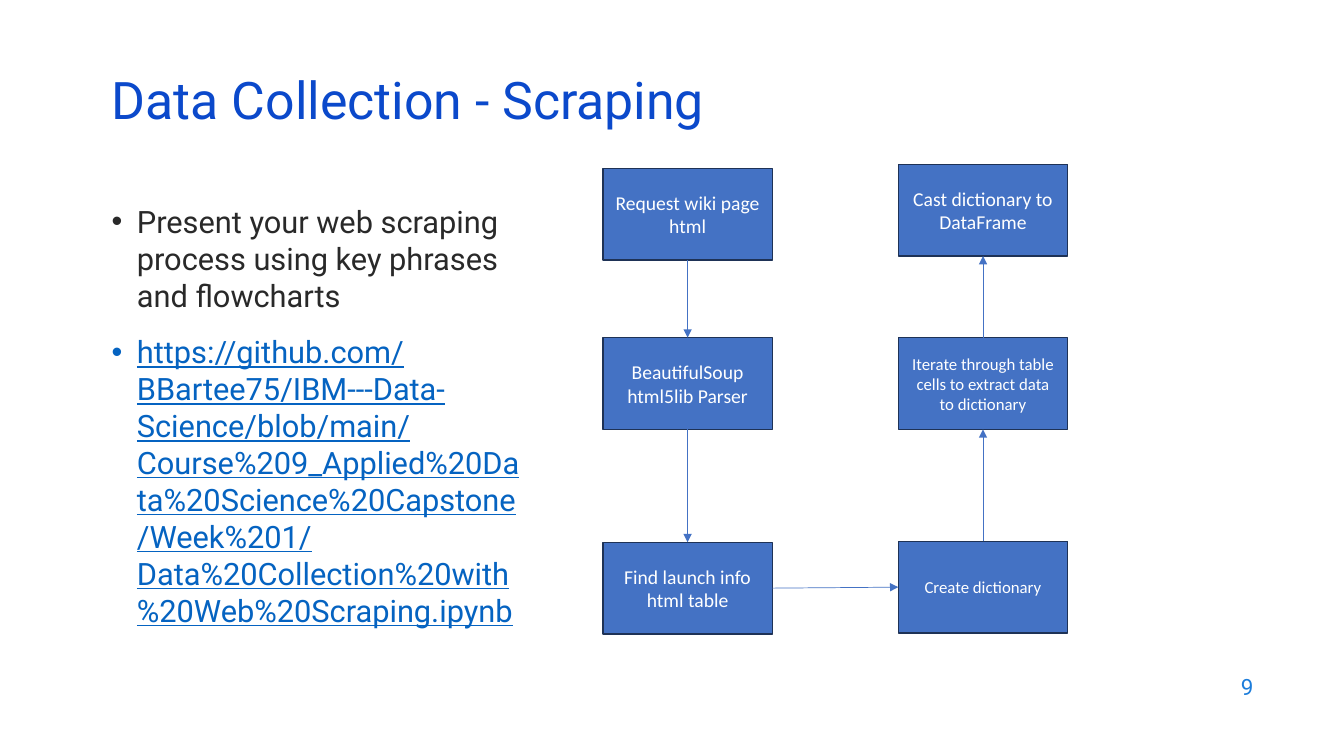
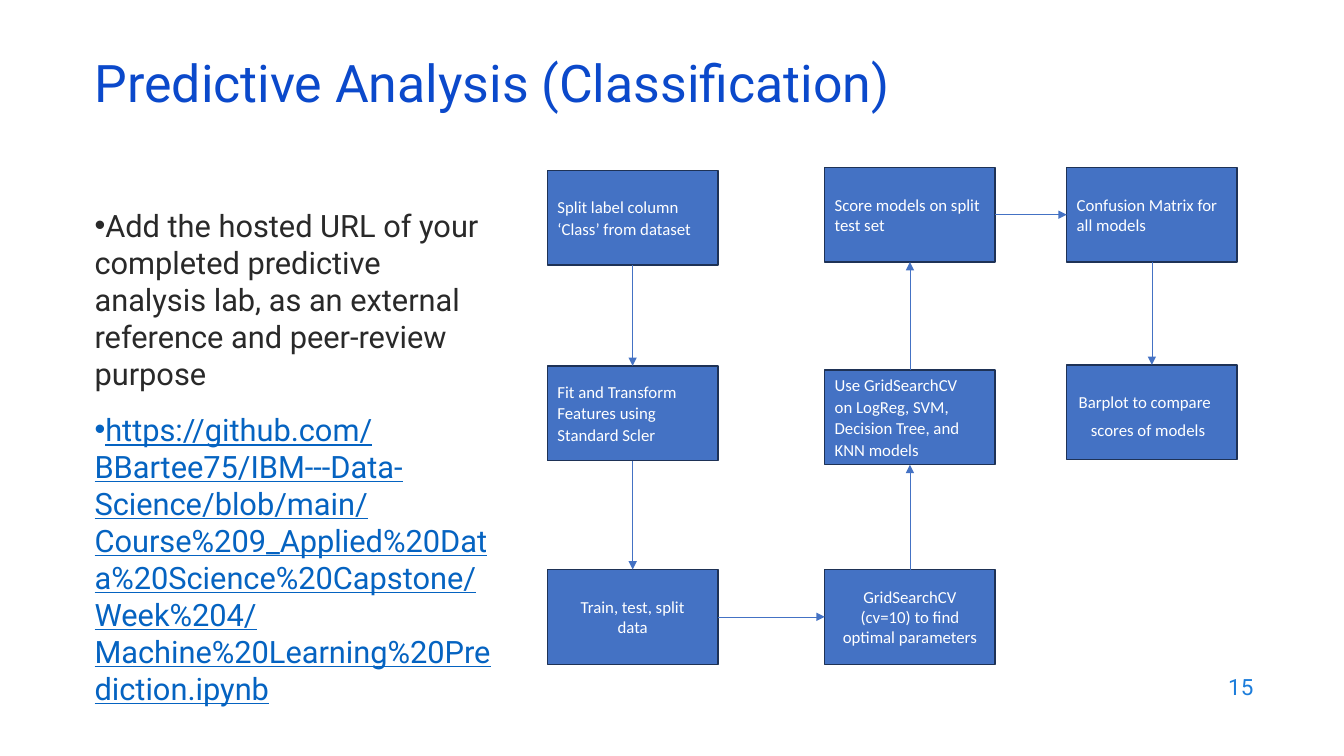
from pptx import Presentation
from pptx.dml.color import RGBColor
from pptx.enum.shapes import MSO_CONNECTOR, MSO_SHAPE
from pptx.enum.text import MSO_ANCHOR, MSO_AUTO_SIZE, PP_ALIGN
from pptx.oxml.ns import qn
from pptx.util import Inches, Pt
from lxml import etree

STRAIGHT = MSO_CONNECTOR.STRAIGHT
PROCESS = MSO_SHAPE.FLOWCHART_PROCESS
MIDDLE = MSO_ANCHOR.MIDDLE
LEFT, CENTER, RIGHT = PP_ALIGN.LEFT, PP_ALIGN.CENTER, PP_ALIGN.RIGHT
TOP_SIDE, LEFT_SIDE, BOTTOM_SIDE, RIGHT_SIDE = range(4)

# Shared style
HEAD_FONT, BOX_FONT = "Roboto", "Calibri"
TITLE, NUMBER, BODY, LINK = "0B49CB", "1C7DDB", "292929", "0563C1"
FILL, EDGE, WHITE = "4472C4", "1E3256", "FFFFFF"
REPO = ("https://github.com/BBartee75/IBM---Data-Science/blob/main/"
        "Course%209_Applied%20Data%20Science%20Capstone/")


def color(code):
    return RGBColor.from_string(code)


def style(para, font, size, code, align=LEFT):
    para.alignment = align
    para.font.name = font
    para.font.size = Pt(size)
    para.font.color.rgb = color(code)


def place(shape, left, top, width, height):
    shape.left, shape.top = Inches(left), Inches(top)
    shape.width, shape.height = Inches(width), Inches(height)


def add_base(deck, title, left, top, number):
    """Add a slide with its title and page number."""
    slide = deck.slides.add_slide(deck.slide_layouts[5])
    head = slide.shapes.title
    place(head, left, top, 11.5, 0.6)
    frame = head.text_frame
    frame.text = title
    frame.auto_size = MSO_AUTO_SIZE.NONE
    frame.vertical_anchor = MIDDLE
    para = frame.paragraphs[0]
    para.line_spacing = 0.7
    style(para, HEAD_FONT, 37, TITLE)

    page = slide.shapes.add_textbox(Inches(9.53), Inches(6.59), Inches(3), Inches(0.44))
    page.text_frame.text = str(number)
    page.text_frame.vertical_anchor = MIDDLE
    style(page.text_frame.paragraphs[0], HEAD_FONT, 16, NUMBER, RIGHT)
    return slide


def add_bullet(para, code, hang):
    props = para._p.get_or_add_pPr()
    props.set("marL", str(Inches(hang)))
    props.set("indent", str(-Inches(hang)))
    tint = etree.SubElement(props, qn("a:buClr"))
    etree.SubElement(tint, qn("a:srgbClr"), val=code)
    etree.SubElement(props, qn("a:buFont"), typeface="Arial")
    etree.SubElement(props, qn("a:buChar"), char="•")


def add_body(slide, area, text, link, hang):
    """Add a bulleted task and a bulleted web address."""
    box = slide.shapes.add_textbox(*map(Inches, area))
    frame = box.text_frame
    frame.word_wrap = True
    frame.text = f"{text}\n{link}"
    task, web = frame.paragraphs
    for para, code in ((task, BODY), (web, LINK)):
        add_bullet(para, code, hang)
        style(para, HEAD_FONT, 22, code)
    web.space_before = Pt(14)
    web.font.underline = True


def add_box(slide, text, left, top, size, points, align):
    box = slide.shapes.add_shape(PROCESS, Inches(left), Inches(top), *map(Inches, size))
    box.shadow.inherit = False
    box.fill.solid()
    box.fill.fore_color.rgb = color(FILL)
    box.line.color.rgb = color(EDGE)
    box.line.width = Pt(1)
    frame = box.text_frame
    frame.word_wrap = True
    frame.vertical_anchor = MIDDLE
    frame.text = text
    for i, para in enumerate(frame.paragraphs):
        style(para, BOX_FONT, points, WHITE, align)
        if i and align == LEFT:
            para.space_before = Pt(1.1)
    return box


def add_arrow(slide, start, end):
    """Join two boxes, up or down in a column and rightwards between columns."""
    if abs(end.left - start.left) > Inches(0.5):
        sides = RIGHT_SIDE, LEFT_SIDE
    elif end.top > start.top:
        sides = BOTTOM_SIDE, TOP_SIDE
    else:
        sides = TOP_SIDE, BOTTOM_SIDE
    arrow = slide.shapes.add_connector(STRAIGHT, 0, 0, 0, 0)
    arrow.begin_connect(start, sides[0])
    arrow.end_connect(end, sides[1])
    arrow.line.color.rgb = color(FILL)
    arrow.line.width = Pt(0.5)
    props = arrow._element.spPr
    etree.SubElement(props.find(qn("a:ln")), qn("a:tailEnd"), type="triangle")
    etree.SubElement(props, qn("a:effectLst"))


def add_flow(slide, steps, size):
    """Add the boxes in order and an arrow from each to the next."""
    boxes = [add_box(slide, text, left, top, size, points, align)
             for text, left, top, points, align in steps]
    for start, end in zip(boxes, boxes[1:]):
        add_arrow(slide, start, end)
    return boxes


def add_scraping(deck):
    slide = add_base(deck, "Data Collection - Scraping", 1.01, 0.76, 9)
    add_body(slide, (1.01, 1.96, 4.3, 4.95),
             "Present your web scraping process using key phrases and flowcharts",
             REPO + "Week%201/Data%20Collection%20with%20Web%20Scraping.ipynb", 0.25)
    first, second = 5.98, 8.91
    add_flow(slide, [
        ("Request wiki page\nhtml", first, 1.67, 14, CENTER),
        ("BeautifulSoup\nhtml5lib Parser", first, 3.35, 14, CENTER),
        ("Find launch info\vhtml table", first, 5.38, 14, CENTER),
        ("Create dictionary", second, 5.37, 12, CENTER),
        ("Iterate through table\vcells to extract data\vto dictionary",
         second, 3.35, 12, CENTER),
        ("Cast dictionary to\vDataFrame", second, 1.63, 14, CENTER),
    ], (1.68, 0.91))


def add_analysis(deck):
    slide = add_base(deck, "Predictive Analysis (Classification)", 0.84, 0.59, 15)
    add_body(slide, (0.84, 2, 4.14, 4.76),
             "Add the hosted URL of your completed predictive analysis lab, "
             "as an external reference and peer-review purpose",
             REPO + "Week%204/Machine%20Learning%20Prediction.ipynb", 0)
    first, second, third = 5.43, 8.18, 10.58
    boxes = add_flow(slide, [
        ("Split label column\n‘Class’ from dataset", first, 1.69, 12, LEFT),
        ("Fit and Transform\nFeatures using\nStandard Scler", first, 3.63, 12, LEFT),
        ("Train, test, split\ndata", first, 5.65, 12, CENTER),
        ("GridSearchCV\n(cv=10) to find\voptimal parameters", second, 5.65, 12, CENTER),
        ("Use GridSearchCV\non LogReg, SVM,\nDecision Tree, and\nKNN models",
         second, 3.67, 12, LEFT),
        ("Score models on split test set", second, 1.66, 12, LEFT),
        ("Confusion Matrix for all models", third, 1.66, 12, LEFT),
        ("Barplot to compare scores of models", third, 3.62, 12, LEFT),
    ], (1.69, 0.94))

    # The last step has a hanging indent and wider lines
    last = boxes[-1].text_frame.paragraphs[0]
    last.line_spacing = Pt(20)
    props = last._p.get_or_add_pPr()
    props.set("marL", str(Inches(0.14)))
    props.set("indent", str(Inches(-0.12)))


def main():
    deck = Presentation()
    deck.slide_width, deck.slide_height = Inches(13.33), Inches(7.5)
    add_scraping(deck)
    add_analysis(deck)
    deck.save("out.pptx")


if __name__ == "__main__":
    main()
